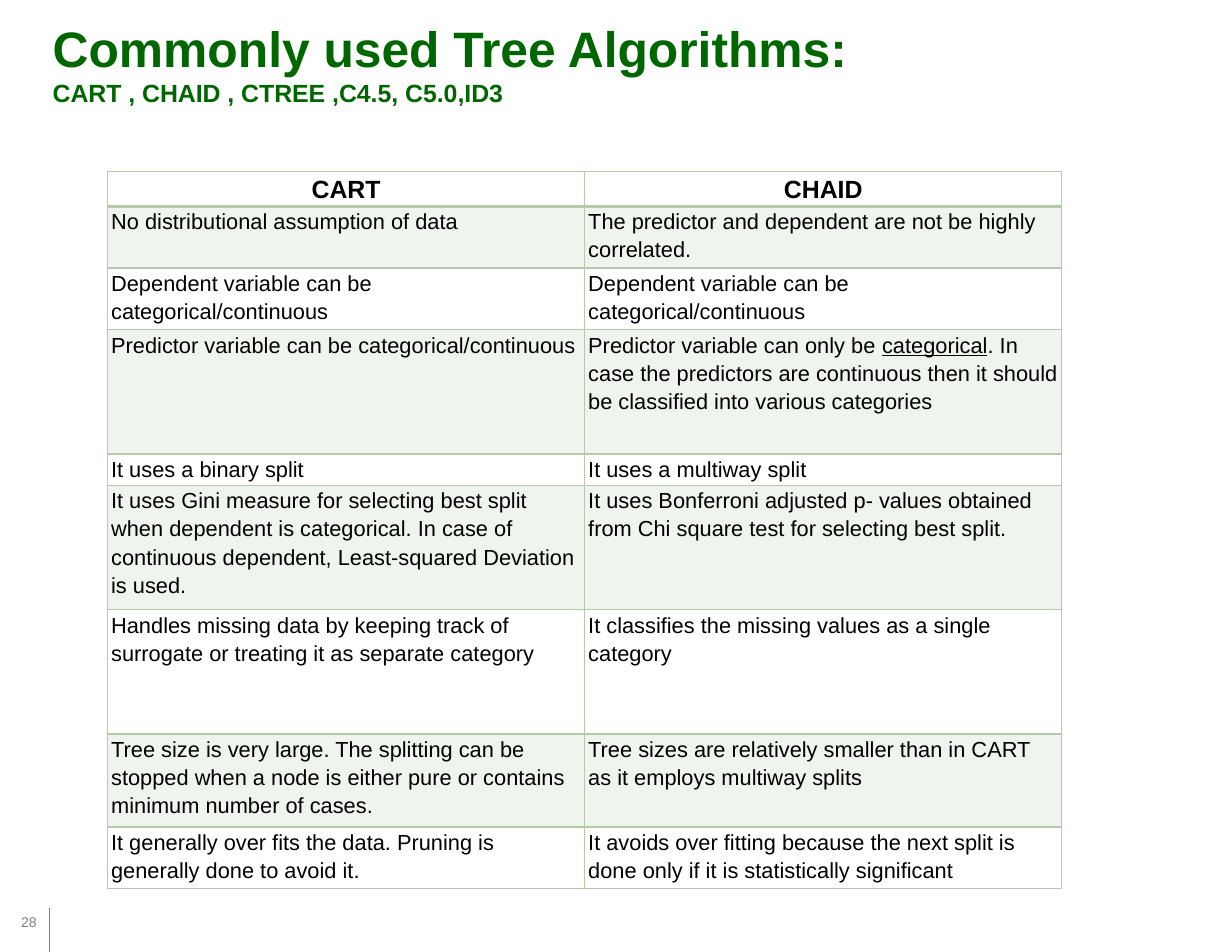
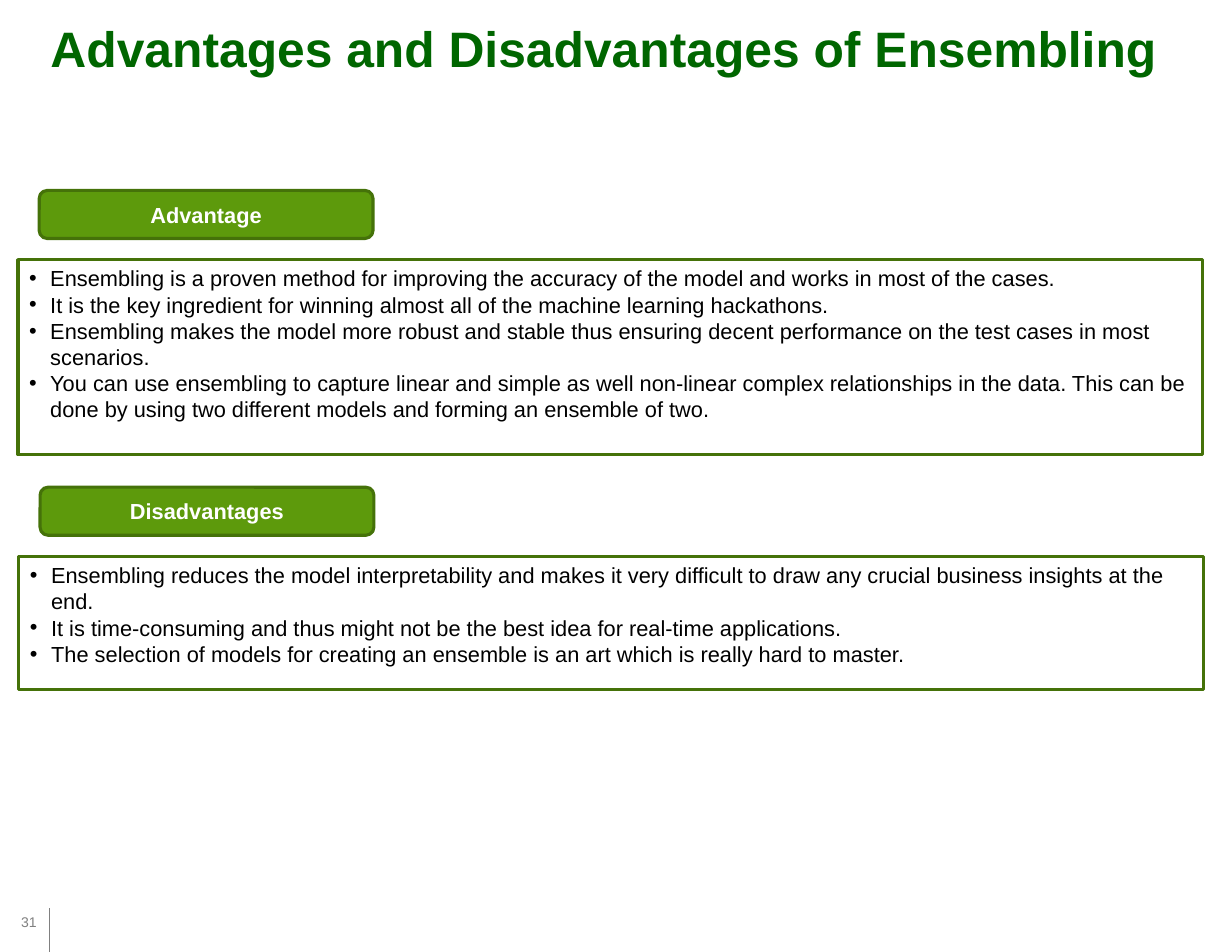
from lxml import etree
from pptx import Presentation
from pptx.dml.color import RGBColor
from pptx.enum.shapes import MSO_CONNECTOR, MSO_SHAPE
from pptx.enum.text import MSO_ANCHOR, MSO_AUTO_SIZE, PP_ALIGN
from pptx.oxml.ns import qn
from pptx.util import Cm, Pt

STRAIGHT = MSO_CONNECTOR.STRAIGHT
RECTANGLE, ROUNDED = MSO_SHAPE.RECTANGLE, MSO_SHAPE.ROUNDED_RECTANGLE
TOP, MIDDLE, BOTTOM = MSO_ANCHOR.TOP, MSO_ANCHOR.MIDDLE, MSO_ANCHOR.BOTTOM
LEFT, CENTER = PP_ALIGN.LEFT, PP_ALIGN.CENTER
NO_FIT = MSO_AUTO_SIZE.NONE

FONT = "Arial"
TITLE_GREEN = RGBColor(0x00, 0x66, 0x00)
BADGE_GREEN = RGBColor(0x5D, 0x9A, 0x0C)
OUTLINE_GREEN = RGBColor(0x45, 0x72, 0x09)
BORDER_GREEN = RGBColor(0xB6, 0xCA, 0xAA)
BAND_GREEN = RGBColor(0xF0, 0xF4, 0xEE)
GRAY = RGBColor(0x80, 0x80, 0x80)
BLACK = RGBColor(0, 0, 0)
WHITE = RGBColor(0xFF, 0xFF, 0xFF)

ALGORITHMS = [
    ("CART", "CHAID"),
    ("No distributional assumption of data",
     "The predictor and dependent are not be highly correlated."),
    ("Dependent variable can be categorical/continuous",
     "Dependent variable can be categorical/continuous"),
    ("Predictor variable can be categorical/continuous",
     "Predictor variable can only be _categorical_. In case the predictors are "
     "continuous then it should be classified into various categories"),
    ("It uses a binary split", "It uses a multiway split"),
    ("It uses Gini measure for selecting best split when dependent is categorical. "
     "In case of continuous dependent, Least-squared Deviation is used.",
     "It uses Bonferroni adjusted p- values obtained from Chi square test for "
     "selecting best split."),
    ("Handles missing data by keeping track of surrogate or treating it as "
     "separate category",
     "It classifies the missing values as a single category"),
    ("Tree size is very large. The splitting can be stopped when a node is either "
     "pure or contains minimum number of cases.",
     "Tree sizes are relatively smaller than in CART as it employs multiway splits"),
    ("It generally over fits the data. Pruning is generally done to avoid it.",
     "It avoids over fitting because the next split is done only if it is "
     "statistically significant"),
]
ROW_HEIGHTS = [0.79, 1.4, 1.4, 2.82, 0.71, 2.82, 2.82, 2.11, 1.4]

ADVANTAGES = [
    "Ensembling is a proven method for improving the accuracy of the model and works "
    "in most of the cases.",
    "It is the key ingredient for winning almost all of the machine learning hackathons.",
    "Ensembling makes the model more robust and stable thus ensuring decent "
    "performance on the test cases in most scenarios.",
    "You can use ensembling to capture linear and simple as well non-linear complex "
    "relationships in the data. This can be done by using two different models and "
    "forming an ensemble of two.",
]
DISADVANTAGES = [
    "Ensembling reduces the model interpretability and makes it very difficult to "
    "draw any crucial business insights at the end.",
    "It is time-consuming and thus might not be the best idea for real-time applications.",
    "The selection of models for creating an ensemble is an art which is really hard "
    "to master.",
]


def write(para, text, size=14, color=BLACK, bold=False, align=LEFT, spacing=1.0):
    para.alignment = align
    para.line_spacing = spacing
    for index, part in enumerate(text.split("_")):
        span = para.add_run()
        span.text = part
        span.font.name = FONT
        span.font.size = Pt(size)
        span.font.bold = bold
        span.font.underline = index % 2 == 1
        span.font.color.rgb = color


def set_bullet(para):
    props = para._p.get_or_add_pPr()
    props.set("marL", str(Cm(0.48)))
    props.set("indent", str(-Cm(0.48)))
    etree.SubElement(props, qn("a:buFont"), typeface=FONT)
    etree.SubElement(props, qn("a:buChar"), char="•")


def set_borders(cell, **widths):
    props = cell._tc.get_or_add_tcPr()
    for side in "LRTB":
        line = etree.SubElement(props, qn(f"a:ln{side}"), w=str(Pt(widths.get(side, 1))))
        fill = etree.SubElement(line, qn("a:solidFill"))
        etree.SubElement(fill, qn("a:srgbClr"), val=str(BORDER_GREEN))


def add_page(deck, title, number, left, subtitle=None):
    page = deck.slides.add_slide(deck.slide_layouts[5])
    heading = page.shapes.title
    heading.left, heading.top = Cm(left), Cm(0.28)
    heading.width, heading.height = Cm(27), Cm(3.12)
    frame = heading.text_frame
    frame.auto_size = NO_FIT
    frame.vertical_anchor = TOP
    write(frame.paragraphs[0], title, size=32, color=TITLE_GREEN, bold=True)
    if subtitle:
        write(frame.add_paragraph(), subtitle, size=16, color=TITLE_GREEN, bold=True)
    add_footer(page, number, 0.2, 19.74)
    return page


def add_footer(page, number, left, top):
    rule_x = Cm(left + 0.92)
    rule = page.shapes.add_connector(STRAIGHT, rule_x, Cm(21.64), rule_x, Cm(top + 0.86))
    rule.line.color.rgb = GRAY
    rule.line.width = Pt(0.5)
    etree.SubElement(rule._element.spPr, qn("a:effectLst"))
    box = page.shapes.add_textbox(Cm(left), Cm(top), Cm(0.99), Cm(1.5))
    frame = box.text_frame
    frame.word_wrap = False
    frame.vertical_anchor = BOTTOM
    frame.margin_left = frame.margin_right = Cm(0.28)
    frame.margin_top = frame.margin_bottom = Cm(0.15)
    write(frame.paragraphs[0], str(number), size=9, color=GRAY)


def add_comparison(page, left, top, width):
    holder = page.shapes.add_table(len(ALGORITHMS), 2, Cm(left), Cm(top),
                                   Cm(width), Cm(sum(ROW_HEIGHTS)))
    table = holder.table
    table.horz_banding = False
    for column in table.columns:
        column.width = Cm(width / 2)
    for row, (height, texts) in enumerate(zip(ROW_HEIGHTS, ALGORITHMS)):
        table.rows[row].height = Cm(height)
        header = row == 0
        for col, text in enumerate(texts):
            cell = table.cell(row, col)
            cell.margin_left = cell.margin_right = Cm(0.08)
            cell.margin_top = cell.margin_bottom = 0
            set_borders(cell, T=2 if row == 1 else 1, B=2 if header else 1)
            if row % 2:
                cell.fill.solid()
                cell.fill.fore_color.rgb = BAND_GREEN
            else:
                cell.fill.background()
            write(cell.text_frame.paragraphs[0], text, size=16 if header else 14,
                  bold=header, align=CENTER if header else LEFT, spacing=1.15)


def add_box(page, kind, left, top, width, height, fill=None, anchor=TOP):
    box = page.shapes.add_shape(kind, Cm(left), Cm(top), Cm(width), Cm(height))
    box.shadow.inherit = False
    if fill is None:
        box.fill.background()
    else:
        box.fill.solid()
        box.fill.fore_color.rgb = fill
    box.line.color.rgb = OUTLINE_GREEN
    box.line.width = Pt(2)
    box.text_frame.word_wrap = True
    box.text_frame.vertical_anchor = anchor
    return box


def add_section(page, label, points, left, top, width, height):
    panel_drop = 1.57
    badge = add_box(page, ROUNDED, left + 0.48, top, 7.57, 1.09, BADGE_GREEN, MIDDLE)
    write(badge.text_frame.paragraphs[0], label, color=WHITE, bold=True, align=CENTER)
    panel = add_box(page, RECTANGLE, left, top + panel_drop, width, height - panel_drop)
    frame = panel.text_frame
    for index, point in enumerate(points):
        para = frame.add_paragraph() if index else frame.paragraphs[0]
        write(para, point)
        set_bullet(para)


def main():
    deck = Presentation()
    deck.slide_width, deck.slide_height = Cm(27.94), Cm(21.59)

    page = add_page(deck, "Commonly used Tree Algorithms:", 28, 0.94,
                    "CART , CHAID , CTREE ,C4.5, C5.0,ID3")
    add_comparison(page, 2.44, 3.89, 21.64)

    page = add_page(deck, "Advantages and Disadvantages of Ensembling", 31, 0.89)
    add_section(page, "Advantage", ADVANTAGES, 0.41, 4.32, 26.87, 5.99)
    add_section(page, "Disadvantages", DISADVANTAGES, 0.43, 11.05, 26.87, 4.59)

    deck.save("out.pptx")


if __name__ == "__main__":
    main()
